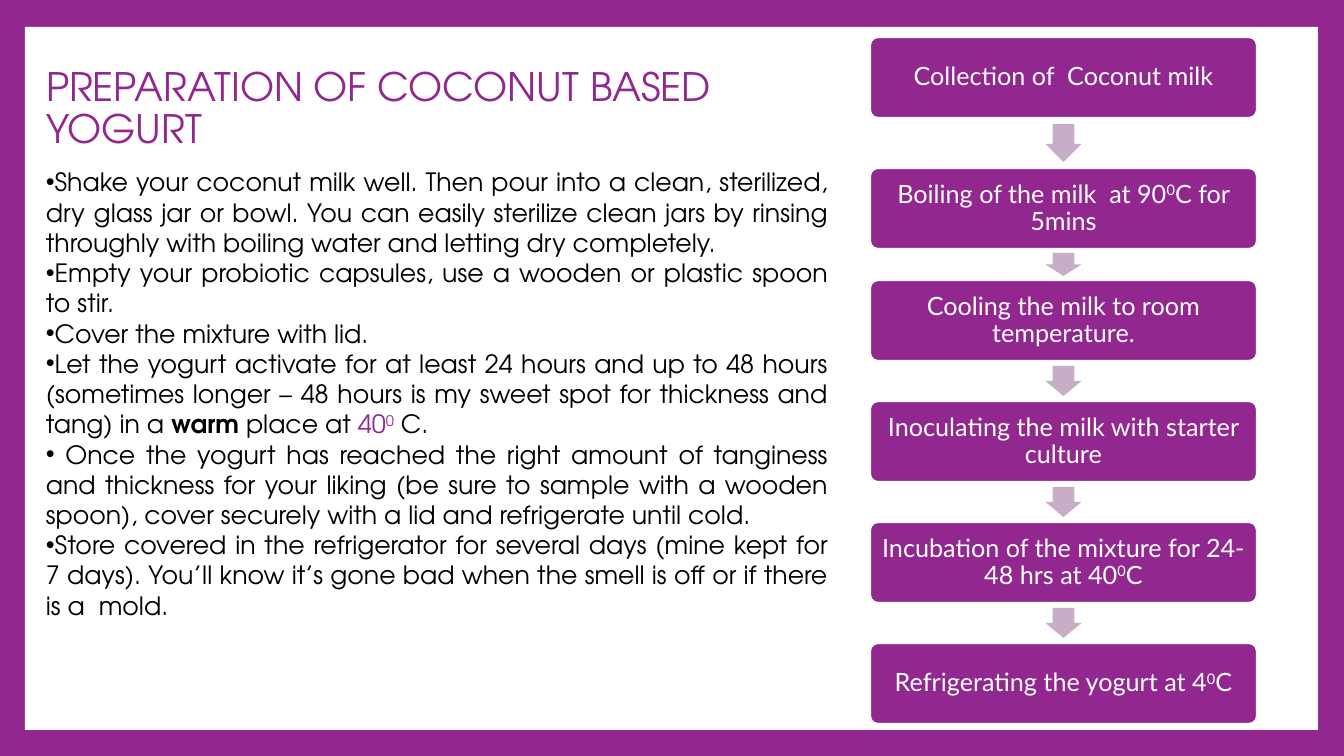
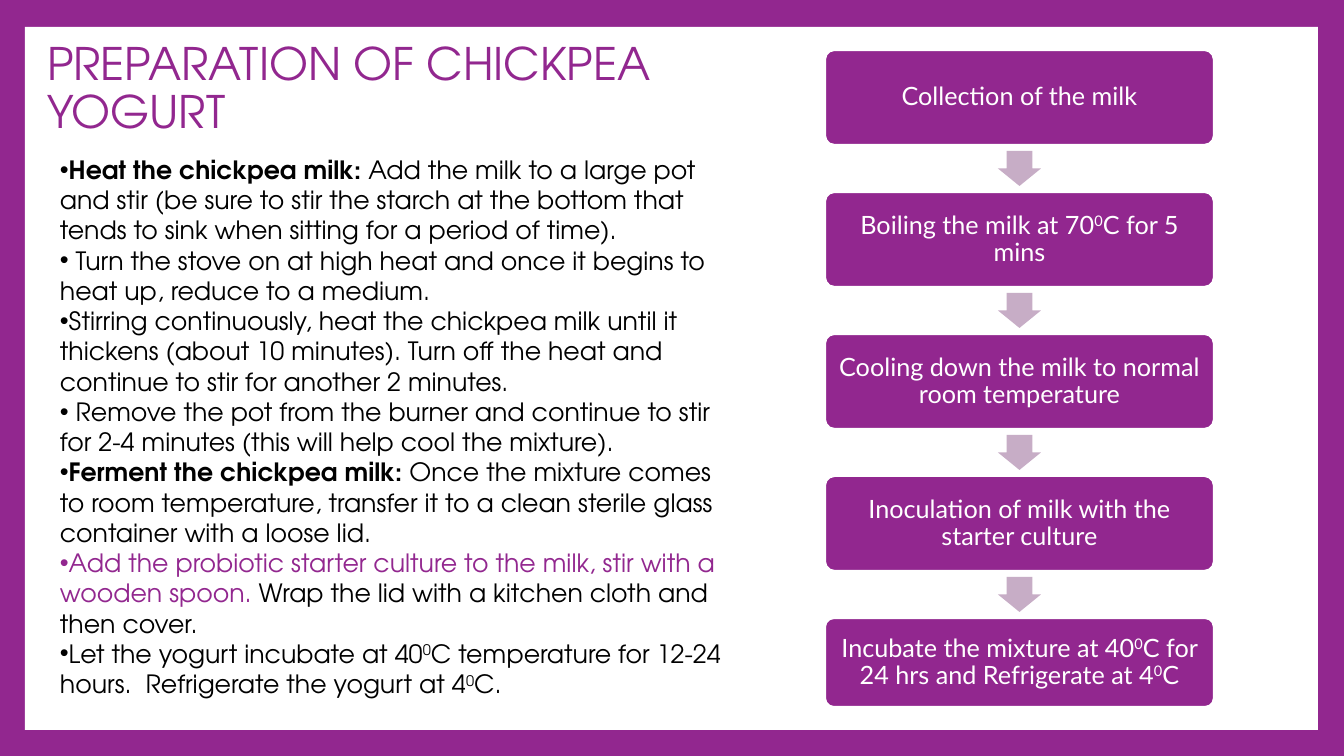
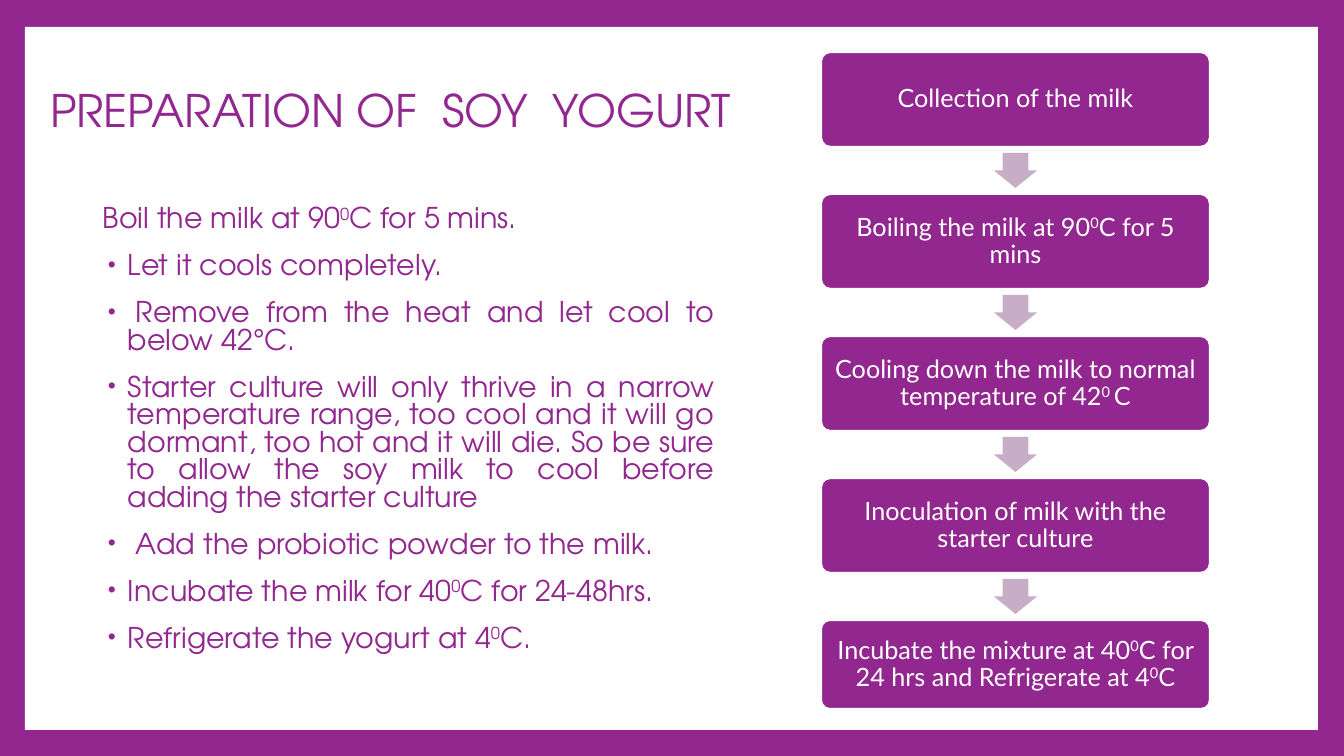
from itertools import pairwise

from lxml.etree import SubElement
from pptx import Presentation
from pptx.dml.color import RGBColor
from pptx.enum.shapes import MSO_SHAPE as Preset
from pptx.enum.text import MSO_ANCHOR as Anchor, MSO_AUTO_SIZE as AutoSize, PP_ALIGN as Align
from pptx.oxml.ns import qn
from pptx.util import Emu, Pt

COLORS = {"accent": "92278F", "paper": "FFFFFF", "ink": "000000", "arrow": "C7ADC6"}
HEADING_FONT = "TeX Gyre Adventor"
STEP_FONT = "Lato"
SCALE = 914400 / 100.8


def px(value):
    return Emu(round(value * SCALE))


def color(name):
    return RGBColor.from_string(COLORS[name])


class Deck:
    def __init__(self):
        self.prs = Presentation()
        self.prs.slide_width, self.prs.slide_height = px(1344), px(756)
        background = self.prs.slide_master.background.fill
        background.solid()
        background.fore_color.rgb = color("accent")
        self.slide = None

    def new_slide(self, title, box, size=32):
        self.slide = self.prs.slides.add_slide(self.prs.slide_layouts[5])
        panel = self.shape(Preset.RECTANGLE, (25, 27, 1293, 703), "paper")
        self.slide.shapes.element.insert(2, panel.element)
        heading = self.slide.shapes.title
        heading.left, heading.top, heading.width, heading.height = map(px, box)
        self.frame(heading, Anchor.MIDDLE)
        self.fill_text(heading.text_frame.paragraphs[0], title, size, HEADING_FONT,
                       "accent", Align.LEFT, 0.9)

    def shape(self, preset, box, fill, line=None, adjustments=()):
        shape = self.slide.shapes.add_shape(preset, *map(px, box))
        shape.shadow.inherit = False
        shape.fill.solid()
        shape.fill.fore_color.rgb = color(fill)
        if line:
            shape.line.color.rgb = color(line)
            shape.line.width = Pt(1.5)
        else:
            shape.line.fill.background()
        for index, value in enumerate(adjustments):
            shape.adjustments[index] = value
        return shape

    def frame(self, shape, anchor):
        frame = shape.text_frame
        frame.word_wrap = True
        frame.auto_size = AutoSize.NONE
        frame.vertical_anchor = anchor
        return frame

    def fill_text(self, paragraph, text, size, font, ink, align, spacing=None):
        paragraph.alignment = align
        if spacing:
            paragraph.line_spacing = spacing
        paragraph.font.size = Pt(size)
        paragraph.font.name = font
        paragraph.font.color.rgb = color(ink)
        for piece in text.split("|"):
            words = piece.lstrip("^*~")
            marks = piece[:len(piece) - len(words)]
            run = paragraph.add_run()
            run.text = words
            if "*" in marks:
                run.font.bold = True
            if "~" in marks:
                run.font.color.rgb = color("accent")
            if "^" in marks:
                run._r.get_or_add_rPr().set("baseline", "30000")

    def bullet(self, paragraph, margin=0, indent=0, tint=None, percent=None):
        properties = paragraph._p.get_or_add_pPr()
        properties.set("marL", str(px(margin)))
        properties.set("indent", str(px(indent)))
        if tint:
            SubElement(SubElement(properties, qn("a:buClr")), qn("a:srgbClr"), val=COLORS[tint])
        if percent:
            SubElement(properties, qn("a:buSzPct"), val=str(percent * 1000))
        SubElement(properties, qn("a:buFont"), typeface="Arial")
        SubElement(properties, qn("a:buChar"), char="•")

    def body(self, box, items, align=Align.LEFT, lead=None, anchor=Anchor.MIDDLE, size=18,
             ink="ink", spacing=None, before=0, **bullet_style):
        frame = self.frame(self.slide.shapes.add_textbox(*map(px, box)), anchor)
        for index, text in enumerate([lead, *items] if lead else items):
            paragraph = frame.add_paragraph() if index else frame.paragraphs[0]
            if text != lead:
                self.bullet(paragraph, **bullet_style)
            paragraph.space_before = Pt(before)
            self.fill_text(paragraph, text, size, HEADING_FONT, ink, align, spacing)

    def flow(self, left, width, tops, heights, steps):
        for top, height, step in zip(tops, heights, steps):
            box = self.shape(Preset.ROUNDED_RECTANGLE, (left, top, width, height),
                             "accent", "paper", [0.1])
            frame = self.frame(box, Anchor.MIDDLE)
            frame.margin_left = frame.margin_right = px(7)
            frame.margin_top = frame.margin_bottom = px(7)
            self.fill_text(frame.paragraphs[0], step, 18, STEP_FONT, "paper", Align.CENTER, 0.9)
        for (top, height), (next_top, _) in pairwise(zip(tops, heights)):
            gap = next_top - top - height
            arrow_width, arrow_height = round(0.45 * height), round(0.75 * gap)
            self.shape(Preset.DOWN_ARROW,
                       (left + (width - arrow_width) / 2, top + height + (gap - arrow_height) / 2,
                        arrow_width, arrow_height), "arrow", adjustments=[0.6, 0.5])

    def milk_flow(self, left, top, boiling, cooling):
        self.flow(left, 389, [top + 142 * row for row in range(5)], [95] * 4 + [89], [
            "Collection of the milk",
            boiling,
            cooling,
            "Inoculation of milk with the starter culture",
            "Incubate the mixture at 40|^0|C for 24 hrs and Refrigerate at 4|^0|C",
        ])


deck = Deck()

deck.new_slide("PREPARATION OF COCONUT BASED YOGURT", (36, 37, 833, 146), 28)
deck.body((36, 159, 802, 469), [
    "Shake your coconut milk well. Then pour into a clean, sterilized, dry glass jar or bowl. "
    "You can easily sterilize clean jars by rinsing throughly with boiling water and letting "
    "dry completely.",
    "Empty your probiotic capsules, use a wooden or plastic spoon to stir.",
    "Cover the mixture with lid.",
    "Let the yogurt activate for at least 24 hours and up to 48 hours (sometimes longer – "
    "48 hours is my sweet spot for thickness and tang) in a |*warm| place at |~40|~^0| C.",
    " Once the yogurt has reached the right amount of tanginess and thickness for your liking "
    "(be sure to sample with a wooden spoon), cover securely with a lid and refrigerate until "
    "cold.",
    "Store covered in the refrigerator for several days (mine kept for 7 days). You’ll know "
    "it’s gone bad when the smell is off or if there is a  mold.",
], Align.JUSTIFY)
deck.flow(870, 387, [37, 168, 280, 401, 522, 643], [81] * 6, [
    "Collection of  Coconut milk",
    "Boiling of the milk  at 90|^0|C for 5mins",
    "Cooling the milk to room temperature.",
    "Inoculating the milk with starter culture",
    "Incubation of the mixture for 24-48 hrs at 40|^0|C",
    "Refrigerating the yogurt at 4|^0|C",
])

deck.new_slide("PREPARATION OF CHICKPEA YOGURT", (37, 60, 787, 60))
deck.body((50, 147, 682, 559), [
    "*Heat the chickpea milk: |Add the milk to a large pot and stir (be sure to stir the starch "
    "at the bottom that tends to sink when sitting for a period of time).",
    " Turn the stove on at high heat and once it begins to heat up, reduce to a medium.",
    "Stirring continuously, heat the chickpea milk until it thickens (about 10 minutes). "
    "Turn off the heat and continue to stir for another 2 minutes.",
    " Remove the pot from the burner and continue to stir for 2-4 minutes (this will help cool "
    "the mixture).",
    "*Ferment the chickpea milk: |Once the mixture comes to room temperature, transfer it to a "
    "clean sterile glass container with a loose lid.",
    "~Add the probiotic starter culture to the milk, stir with a wooden spoon. |Wrap the lid "
    "with a kitchen cloth and then cover.",
    "Let the yogurt incubate at 40|^0|C temperature for 12-24 hours.  Refrigerate the yogurt "
    "at 4|^0|C.",
])
deck.milk_flow(825, 50, "Boiling the milk at 70|^0|C for 5 mins",
               "Cooling down the milk to normal room temperature")

deck.new_slide("PREPARATION OF  SOY  YOGURT", (40, 40, 839, 146))
deck.body((93, 202, 631, 480), [
    "Let it cools completely.",
    "\u00a0Remove from the heat and let cool to below 42°C.",
    "Starter culture will only thrive in a narrow temperature range, too cool and it will go "
    "dormant, too hot and it will die. So be sure to allow the soy milk to cool before adding "
    "the starter culture",
    " Add the probiotic powder to the milk.",
    "Incubate the milk for 40|^0|C for 24-48hrs.",
    "Refrigerate the yogurt at 4|^0|C.",
], Align.JUSTIFY, lead="Boil the milk at 90|^0|C for 5 mins.", anchor=Anchor.TOP, size=20.4,
    ink="accent", spacing=0.8, before=14, margin=25, indent=-20, tint="accent", percent=80)
deck.milk_flow(821, 52, "Boiling the milk at 90|^0|C for 5 mins",
               "Cooling down the milk to normal temperature of 42|^0 |C")

deck.prs.save("out.pptx")
